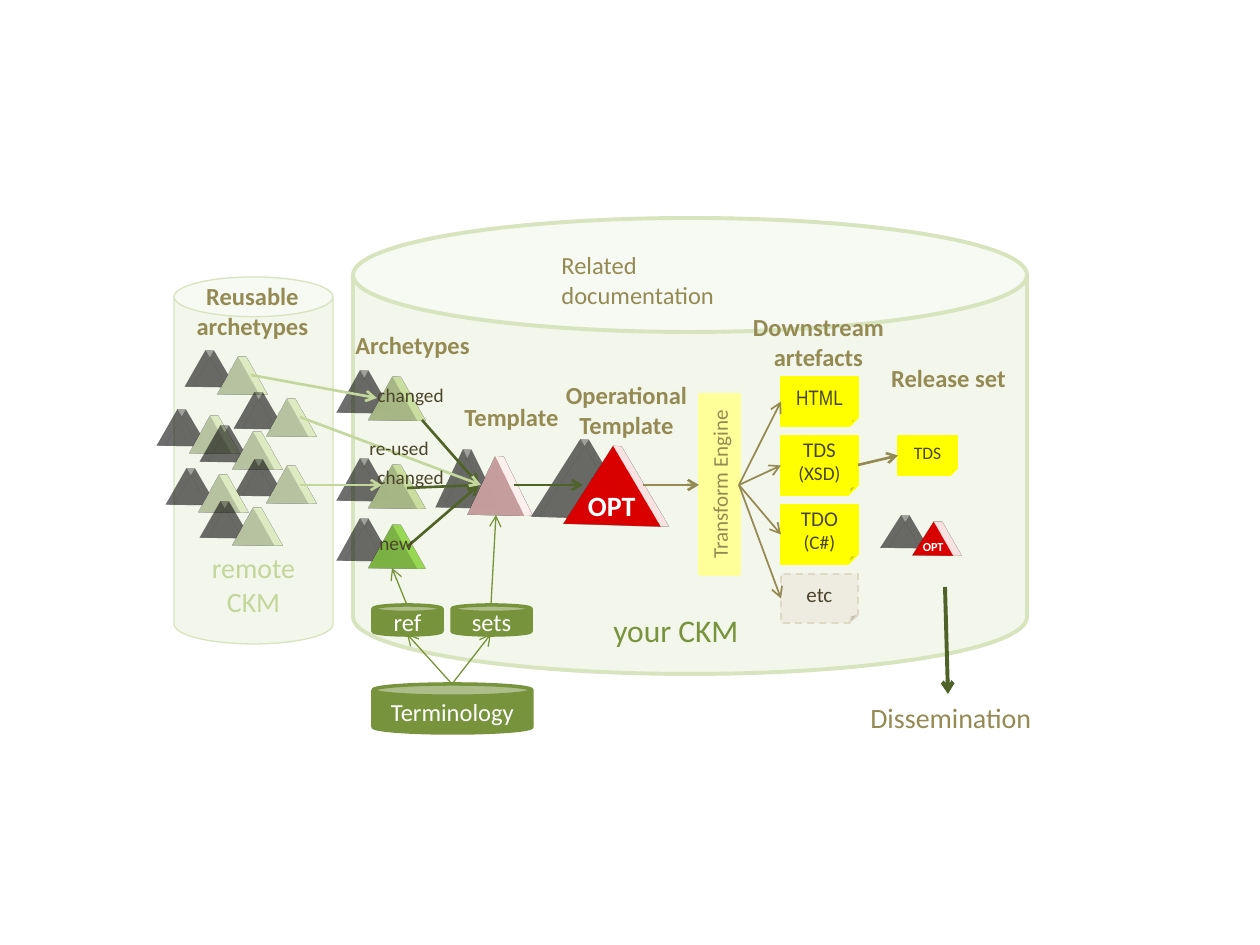
from dataclasses import dataclass

from lxml import etree
from pptx import Presentation
from pptx.dml.color import RGBColor
from pptx.enum.dml import MSO_LINE
from pptx.enum.shapes import MSO_CONNECTOR, MSO_SHAPE
from pptx.enum.text import MSO_ANCHOR, MSO_AUTO_SIZE, PP_ALIGN
from pptx.oxml import parse_xml
from pptx.oxml.ns import nsdecls, qn
from pptx.shapes.autoshape import Shape
from pptx.util import Emu, Pt

CAN, TRIANGLE = MSO_SHAPE.CAN, MSO_SHAPE.ISOSCELES_TRIANGLE
NOTE, RECTANGLE = MSO_SHAPE.FOLDED_CORNER, MSO_SHAPE.RECTANGLE
STRAIGHT, DASH = MSO_CONNECTOR.STRAIGHT, MSO_LINE.DASH
LEFT, CENTER = PP_ALIGN.LEFT, PP_ALIGN.CENTER
MIDDLE, BOTTOM = MSO_ANCHOR.MIDDLE, MSO_ANCHOR.BOTTOM
FIT_TEXT = MSO_AUTO_SIZE.SHAPE_TO_FIT_TEXT
LEFT_SIDE, BOTTOM_SIDE, RIGHT_SIDE = 1, 2, 3

EMU_PER_PX = 914400 / 126
WHITE, INK, TAN, GREEN = "FFFFFF", "4A452A", "948A54", "77933C"
DARK_GREEN, LIGHT_GREEN, PALE_GREEN = "4F6228", "C3D69B", "D7E4BD"
RED, PINK, YELLOW = "FF0000", "F2DCDB", "FFFF00"


@dataclass
class Box:
    kind: MSO_SHAPE
    left: int
    top: int
    width: int
    height: int
    fill: str
    line: str
    line_width: float = 2
    text: str = ""
    size: int = 12
    color: str = WHITE
    detail: str = ""
    bold: bool = False
    font: str = "Calibri"
    inset: int | None = None
    anchor: MSO_ANCHOR = MIDDLE


@dataclass
class Label:
    text: str
    left: int
    top: int
    width: int
    height: int
    size: int
    color: str
    bold: bool = False
    align: PP_ALIGN = LEFT


@dataclass
class Arrow:
    start: tuple[int, int]
    end: tuple[int, int]
    color: str
    width: float
    source: tuple[Shape, int] | None = None
    target: tuple[Shape, int] | None = None


def px(value: int) -> Emu:
    return Emu(round(value * EMU_PER_PX))


def rgb(value: str) -> RGBColor:
    return RGBColor.from_string(value)


def write_text(shape: Shape, item: Box | Label, align: PP_ALIGN) -> None:
    paragraph = shape.text_frame.paragraphs[0]
    paragraph.text = item.text
    paragraph.alignment = align
    font = paragraph.font
    font.size, font.bold = Pt(item.size), item.bold
    font.color.rgb = rgb(item.color)


def draw_box(shapes, box: Box) -> Shape:
    shape = shapes.add_shape(box.kind, px(box.left), px(box.top), px(box.width), px(box.height))
    shape.fill.solid()
    shape.fill.fore_color.rgb = rgb(box.fill)
    shape.line.color.rgb = rgb(box.line)
    shape.line.width = Pt(box.line_width)
    shape.shadow.inherit = False
    if box.text:
        frame = shape.text_frame
        frame.word_wrap = True
        frame.vertical_anchor = box.anchor
        if box.inset is not None:
            frame.margin_left = frame.margin_right = px(box.inset)
            frame.margin_top = frame.margin_bottom = 0
        write_text(shape, box, CENTER)
        paragraph = frame.paragraphs[0]
        paragraph.font.name = box.font
        if box.detail:
            run = paragraph.add_run()
            run.text = box.detail
            run.font.size = Pt(11)
    return shape


def draw_pyramid(shapes, box: Box) -> Shape:
    shape = draw_box(shapes, box)
    properties = shape._element.spPr
    properties.find(qn("a:effectLst")).append(parse_xml(
        f'<a:outerShdw {nsdecls("a")} blurRad="184150" dist="241300" dir="11520000" algn="ctr">'
        '<a:srgbClr val="000000"><a:alpha val="18000"/></a:srgbClr></a:outerShdw>'))
    properties.append(parse_xml(
        f'<a:scene3d {nsdecls("a")}><a:camera prst="perspectiveFront" fov="5100000">'
        '<a:rot lat="0" lon="2100000" rev="0"/></a:camera>'
        '<a:lightRig rig="flood" dir="t"><a:rot lat="0" lon="0" rev="13800000"/></a:lightRig>'
        '</a:scene3d>'))
    properties.append(parse_xml(
        f'<a:sp3d {nsdecls("a")} extrusionH="107950" prstMaterial="plastic">'
        f'<a:extrusionClr><a:srgbClr val="{box.line}"/></a:extrusionClr></a:sp3d>'))
    return shape


def draw_label(shapes, label: Label) -> None:
    shape = shapes.add_textbox(px(label.left), px(label.top), px(label.width), px(label.height))
    shape.text_frame.word_wrap = False
    shape.text_frame.auto_size = FIT_TEXT
    write_text(shape, label, label.align)
    shape.text_frame.paragraphs[0].font.name = "Calibri"


def draw_arrow(shapes, arrow: Arrow) -> None:
    start_x, start_y, end_x, end_y = (px(value) for value in arrow.start + arrow.end)
    connector = shapes.add_connector(STRAIGHT, start_x, start_y, end_x, end_y)
    if arrow.source:
        connector.begin_connect(*arrow.source)
        connector.begin_x, connector.begin_y = start_x, start_y
    if arrow.target:
        connector.end_connect(*arrow.target)
    connector.line.color.rgb = rgb(arrow.color)
    connector.line.width = Pt(arrow.width)
    etree.SubElement(connector.line._get_or_add_ln(), qn("a:tailEnd"), type="arrow")
    etree.SubElement(connector._element.spPr, qn("a:effectLst"))


def draw_repositories(shapes) -> None:
    repositories = [
        Box(CAN, 174, 277, 159, 367, "EBF1DE", PALE_GREEN, 0.75, "remote\vCKM", 16, LIGHT_GREEN, anchor=BOTTOM),
        Box(CAN, 353, 218, 674, 456, "EBF1DE", PALE_GREEN, 2.25),
    ]
    for repository in repositories:
        shape = draw_box(shapes, repository)
        color = shape._element.spPr.find(qn("a:solidFill"))[0]
        etree.SubElement(color, qn("a:alpha"), val="60000")
    for text, left, top, width, height in [
        ("sets", 452, 605, 79, 30), ("Terminology", 373, 684, 159, 49), ("ref", 373, 605, 69, 30),
    ]:
        draw_box(shapes, Box(CAN, left, top, width, height, GREEN, GREEN, text=text, size=14))


def draw_pyramids(shapes) -> None:
    pyramids = [Box(TRIANGLE, 551, 446, 118, 79, RED, PINK, text="OPT", size=16, bold=True, inset=5)]
    pyramids += [Box(TRIANGLE, 363, top, 59, 43, color, color)
                 for top, color in [(377, LIGHT_GREEN), (525, "92D050"), (465, LIGHT_GREEN)]]
    pyramids.append(Box(TRIANGLE, 461, 456, 69, 59, "E6B9B8", PINK))
    pyramids += [Box(TRIANGLE, left, top, 52, 37, PALE_GREEN, PALE_GREEN)
                 for left, top in [(212, 357), (261, 399), (184, 416), (227, 432),
                                   (261, 466), (193, 475), (227, 508)]]
    pyramids.append(Box(TRIANGLE, 908, 522, 49, 33, RED, PINK, text="OPT", size=7, bold=True, inset=0))
    for pyramid in pyramids:
        shape = draw_pyramid(shapes, pyramid)
        if pyramid.text:
            shape.adjustments[0] = 0.53


def draw_artefacts(shapes) -> list[Shape]:
    notes, top = [], 377
    for text, detail, height, fill, line, font in [
        ("HTML", "", 49, YELLOW, YELLOW, "Arial Narrow"),
        ("TDS ", "(XSD)", 59, YELLOW, YELLOW, "Calibri"),
        ("TDO ", "(C#)", 59, YELLOW, YELLOW, "Calibri"),
        ("etc", "", 49, "EEECE1", "DDD9C3", "Calibri"),
    ]:
        notes.append(draw_box(shapes, Box(
            NOTE, 781, top, 77, height, fill, line, 1, text, 12, INK, detail, font=font)))
        top += height + 10
    notes[-1].line.dash_style = DASH
    return notes


def main() -> None:
    presentation = Presentation()
    presentation.slide_width, presentation.slide_height = px(1260), px(945)
    shapes = presentation.slides.add_slide(presentation.slide_layouts[6]).shapes
    draw_repositories(shapes)
    draw_pyramids(shapes)
    notes = draw_artefacts(shapes)
    release = draw_box(shapes, Box(NOTE, 898, 436, 59, 39, YELLOW, YELLOW, 1, "TDS", 10, INK, inset=5))
    engine = draw_box(shapes, Box(
        RECTANGLE, 630, 465, 179, 39, "FFFF99", "FFFF99", text="Transform Engine", color=TAN))
    engine.rotation = 270

    arrows = [
        Arrow((491, 605), (496, 515), GREEN, 0.75),
        Arrow((407, 605), (392, 568), GREEN, 0.75),
        Arrow((452, 684), (407, 634), GREEN, 0.75),
        Arrow((452, 684), (491, 634), GREEN, 0.75),
        Arrow((422, 420), (479, 485), DARK_GREEN, 1.5),
        Arrow((407, 547), (479, 485), DARK_GREEN, 1.5),
        Arrow((407, 488), (479, 485), DARK_GREEN, 1.5),
        Arrow((514, 485), (583, 485), DARK_GREEN, 1.5),
        Arrow((945, 587), (948, 694), DARK_GREEN, 2.25),
        Arrow((300, 417), (481, 485), LIGHT_GREEN, 1.5),
        Arrow((300, 485), (382, 485), LIGHT_GREEN, 1.5),
        Arrow((251, 375), (377, 398), LIGHT_GREEN, 1.5),
        Arrow((643, 485), (699, 485), TAN, 1.5),
        Arrow((858, 465), (898, 456), TAN, 1.5, (notes[1], RIGHT_SIDE), (release, LEFT_SIDE)),
    ]
    arrows += [Arrow((739, 485), (781, 485), TAN, 1, (engine, BOTTOM_SIDE), (note, LEFT_SIDE))
               for note in notes]
    for arrow in arrows:
        draw_arrow(shapes, arrow)

    for label in [
        Label("Reusable\varchetypes", 184, 275, 137, 72, 14, TAN, True, CENTER),
        Label("Archetypes", 343, 324, 141, 43, 14, TAN, True),
        Label("Template", 452, 396, 120, 43, 14, TAN, True),
        Label("Operational\vTemplate", 553, 374, 147, 72, 14, TAN, True, CENTER),
        Label("Downstream\vartefacts", 737, 306, 163, 72, 14, TAN, True, CENTER),
        Label("Release set", 878, 357, 141, 43, 14, TAN, True, CENTER),
        Label("Related\vdocumentation", 549, 244, 180, 72, 14, TAN),
        Label("Dissemination", 858, 694, 188, 47, 16, TAN),
        Label("your CKM", 601, 605, 152, 50, 18, GREEN),
        Label("changed", 365, 377, 92, 37, 11, INK),
        Label("re-used", 357, 430, 86, 37, 11, INK),
        Label("changed", 365, 459, 92, 37, 11, INK),
        Label("new", 367, 525, 59, 37, 11, INK),
    ]:
        draw_label(shapes, label)
    presentation.save("out.pptx")


if __name__ == "__main__":
    main()
